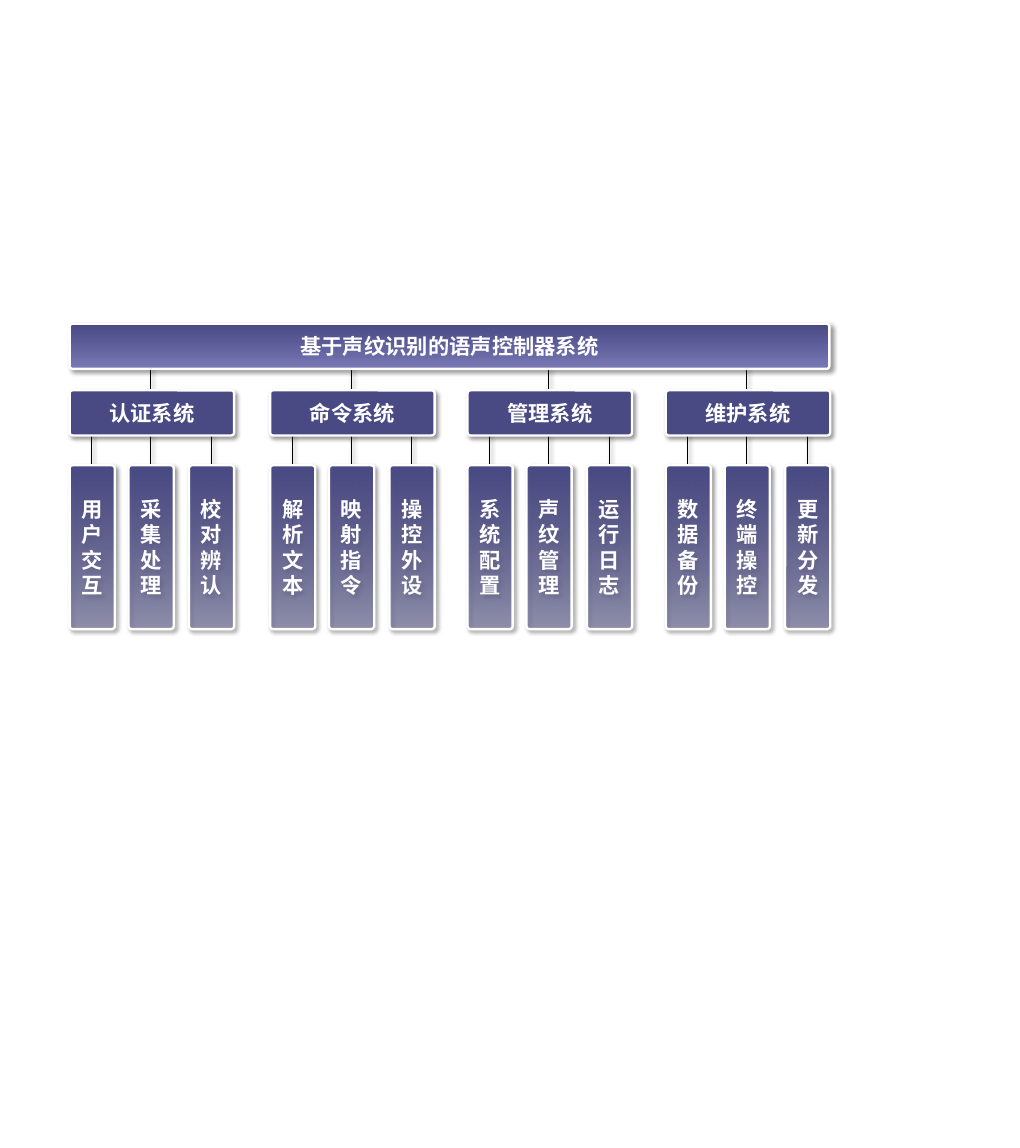
from lxml.etree import SubElement
from pptx import Presentation
from pptx.dml.color import RGBColor
from pptx.enum.shapes import MSO_CONNECTOR, MSO_SHAPE
from pptx.enum.text import MSO_ANCHOR, PP_ALIGN
from pptx.oxml.ns import qn
from pptx.util import Pt

PX = 9144
INDIGO = RGBColor(0x49, 0x49, 0x84)
LAVENDER = RGBColor(0x77, 0x78, 0xB4)
WHITE = RGBColor(0xFF, 0xFF, 0xFF)
BLACK = RGBColor(0x00, 0x00, 0x00)
FONT = "Courier New"

BOX = 59
LEAF_HEIGHT = 214
LEAF_OFFSETS = (0, 77, 156)
GROUP_WIDTH = LEAF_OFFSETS[-1] + BOX
LEAF_DROP = 98

SYSTEM_NAME = "基于声纹识别的语声控制器系统"
SUBSYSTEMS = (
    (91, "认证系统", ("用户交互", "采集处理", "校对辨认")),
    (353, "命令系统", ("解析文本", "映射指令", "操控外设")),
    (611, "管理系统", ("系统配置", "声纹管理", "运行日志")),
    (870, "维护系统", ("数据备份", "终端操控", "更新分发")),
)


def add_shadow(shape):
    effects = SubElement(shape._element.spPr, qn("a:effectLst"))
    shadow = SubElement(
        effects, qn("a:outerShdw"), blurRad=str(Pt(4)), dist=str(Pt(3)),
        dir="2700000", algn="tl", rotWithShape="0",
    )
    color = SubElement(shadow, qn("a:srgbClr"), val=str(BLACK))
    SubElement(color, qn("a:alpha"), val="40000")


def fill_box(shape, end_color, end_opacity):
    fill = shape.fill
    if end_color is None:
        fill.solid()
        fill.fore_color.rgb = INDIGO
        return
    fill.gradient()
    fill.gradient_angle = 270
    for stop, position, color in zip(fill.gradient_stops, (0, 1), (INDIGO, end_color)):
        stop.position = position
        stop.color.rgb = color
    if end_opacity < 100:
        last_color = list(shape._element.spPr.iter(qn("a:srgbClr")))[-1]
        SubElement(last_color, qn("a:alpha"), val=str(end_opacity * 1000))


def add_box(slide, left, top, width, height, text, end_color=None, end_opacity=100):
    shape = slide.shapes.add_shape(
        MSO_SHAPE.ROUNDED_RECTANGLE, left * PX, top * PX, width * PX, height * PX
    )
    shape.adjustments[0] = 0.066
    fill_box(shape, end_color, end_opacity)
    shape.line.color.rgb = WHITE
    shape.line.width = Pt(2.25)
    add_shadow(shape)
    text_frame = shape.text_frame
    text_frame.word_wrap = True
    text_frame.vertical_anchor = MSO_ANCHOR.MIDDLE
    text_frame.text = text
    paragraph = text_frame.paragraphs[0]
    paragraph.alignment = PP_ALIGN.CENTER
    font = paragraph.runs[0].font
    font.name = FONT
    font.size = Pt(20)
    font.bold = True
    font.color.rgb = WHITE
    SubElement(font._element, qn("a:ea"), typeface=FONT)


def add_stem(slide, x, bottom, top):
    connector = slide.shapes.add_connector(
        MSO_CONNECTOR.STRAIGHT, x * PX, bottom * PX, x * PX, top * PX
    )
    connector.line.color.rgb = BLACK
    connector.line.width = Pt(1)
    add_shadow(connector)


def add_subsystem(slide, left, top, name, functions):
    leaf_top = top + LEAF_DROP
    for offset, stem_rise in zip(LEAF_OFFSETS, (66, 139, 66)):
        add_stem(slide, left + offset + BOX // 2, leaf_top, leaf_top - stem_rise)
    for offset, function in zip(LEAF_OFFSETS, functions):
        add_box(slide, left + offset, leaf_top, BOX, LEAF_HEIGHT, function, INDIGO, 47)
    add_box(slide, left, top, GROUP_WIDTH, BOX, name)


def add_system_tree(slide, left, top, width):
    for subsystem_left, name, functions in SUBSYSTEMS:
        add_subsystem(slide, subsystem_left, top + 87, name, functions)
    add_box(slide, left, top, width, BOX, SYSTEM_NAME, LAVENDER)


def main():
    presentation = Presentation()
    presentation.slide_width = 1333 * PX
    presentation.slide_height = 1500 * PX
    slide = presentation.slides.add_slide(presentation.slide_layouts[6])
    add_system_tree(slide, 91, 423, 993)
    presentation.save("out.pptx")


if __name__ == "__main__":
    main()
